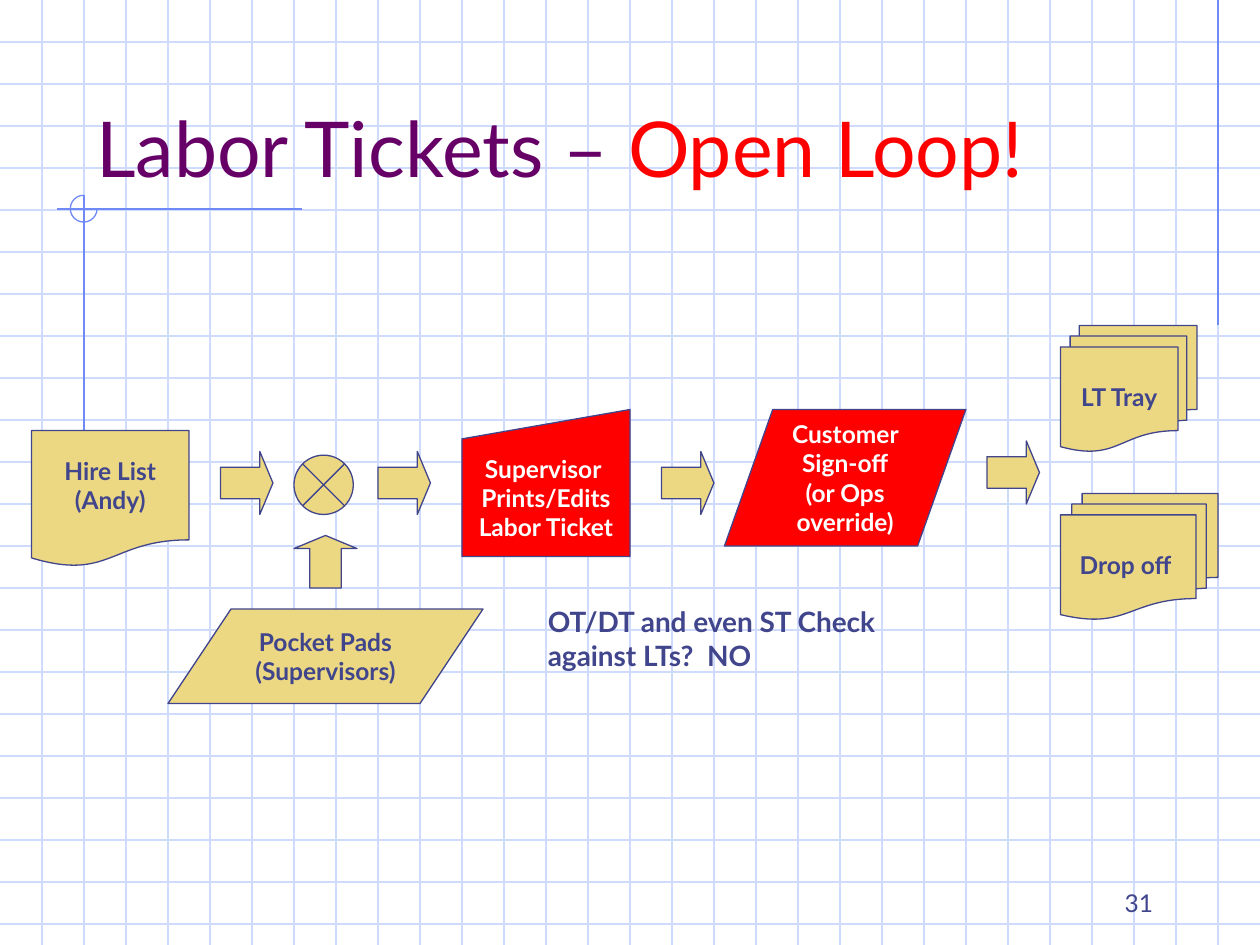
from lxml.etree import SubElement
from pptx import Presentation
from pptx.dml.color import RGBColor
from pptx.enum.shapes import MSO_CONNECTOR as Conn, MSO_SHAPE as Kind
from pptx.enum.text import MSO_ANCHOR as Anchor, PP_ALIGN as Align
from pptx.oxml.ns import qn
from pptx.util import Inches, Pt

GRID = RGBColor(0xCF, 0xDB, 0xFD)
BLUE = RGBColor(0x6F, 0x89, 0xF7)
NAVY = RGBColor(0x40, 0x45, 0x8C)
SAND = RGBColor(0xEC, 0xD8, 0x82)
RED = RGBColor(0xFF, 0, 0)
PLUM = RGBColor(0x66, 0, 0x66)
WHITE = RGBColor(0xFF, 0xFF, 0xFF)
FONT = "Lato"

# Places are in units of a twelfth of an inch: left, top, width, height
UNIT = Inches(1) / 12
WIDE, HIGH, STEP = 120, 90, 4

# kind, place, fill, text colour, wrap, paragraphs
STEPS = [
    (Kind.FLOWCHART_DOCUMENT, (3, 41, 15, 13), SAND, NAVY, False,
     ["Hire List", "(Andy)"]),
    (Kind.FLOWCHART_SUMMING_JUNCTION, (28, 43.35, 5.65, 5.65), SAND, NAVY, False, []),
    (Kind.FLOWCHART_MANUAL_INPUT, (44, 39, 16, 14), RED, WHITE, False,
     ["Supervisor ", "Prints/Edits", "Labor Ticket"]),
    (Kind.FLOWCHART_DATA, (16, 58, 30, 9), SAND, NAVY, True,
     ["Pocket Pads (Supervisors)"]),
    (Kind.FLOWCHART_DATA, (69, 39, 23, 13), RED, WHITE, True,
     ["Customer Sign-off", "(or Ops override)"]),
    (Kind.FLOWCHART_MULTIDOCUMENT, (101, 31, 13, 12), SAND, NAVY, False,
     ["LT Tray"]),
    (Kind.FLOWCHART_MULTIDOCUMENT, (101, 47, 15, 12), SAND, NAVY, False,
     ["Drop off "]),
]
RIGHT = [(21, 43), (36, 43), (63, 43), (94, 42)]
UP = (28, 51)

# place, anchor, alignment, space before, size, bold, runs
TEXTS = [
    ((8, 4, 102, 15), Anchor.BOTTOM, Align.LEFT, 0, 44, False,
     [("Labor Tickets – ", PLUM), ("Open Loop!", RED)]),
    ((51, 57, 41, 7.7), Anchor.TOP, Align.LEFT, 10, 16, True,
     [("OT/DT and even ST Check against LTs?  NO", NAVY)]),
    ((86, 82, 25, 6), Anchor.BOTTOM, Align.RIGHT, 0, 14, False,
     [("31", NAVY)]),
]
RULES = [(116, 0, 116, 31), (28.8, 19.9, 5.4, 19.9), (8, 18.6, 8, 49.1)]
RING = (6.7, 18.6, 2.55, 2.55)

prs = Presentation()
prs.slide_width, prs.slide_height = Inches(10), Inches(7.5)
slide = prs.slides.add_slide(prs.slide_layouts[6])
shapes = slide.shapes


def units(place):
    return [round(v * UNIT) for v in place]


def rule(ends, color):
    line = shapes.add_connector(Conn.STRAIGHT, *units(ends))
    line.line.color.rgb = color
    line.line.width = Pt(0.75)
    SubElement(line._element.spPr, qn("a:effectLst"))


def block(kind, place, fill, edge=NAVY):
    box = shapes.add_shape(kind, *units(place))
    box.shadow.inherit = False
    if fill is None:
        box.fill.background()
    else:
        box.fill.solid()
        box.fill.fore_color.rgb = fill
    box.line.color.rgb = edge
    box.line.width = Pt(0.75)
    return box


def write(para, text, size, color, bold):
    run = para.add_run()
    run.text = text
    run.font.name, run.font.size, run.font.bold = FONT, Pt(size), bold
    run.font.color.rgb = color


# Background grid
for y in range(STEP, HIGH, STEP):
    rule((0, y, WIDE, y), GRID)
for x in range(STEP, WIDE, STEP):
    rule((x, 0, x, HIGH), GRID)

# Accent lines and three-quarter ring
for ends in RULES:
    rule(ends, BLUE)
ring = block(Kind.ARC, RING, None, BLUE)
ring.adjustments[0] = 0
ring.adjustments[1] = 270 * 0.6

# Process steps
for kind, place, fill, color, wrap, paras in STEPS:
    frame = block(kind, place, fill).text_frame
    frame.word_wrap = wrap
    frame.vertical_anchor = Anchor.MIDDLE
    for i, text in enumerate(paras):
        para = frame.add_paragraph() if i else frame.paragraphs[0]
        para.alignment = Align.CENTER
        write(para, text, 14, color, True)

# Block arrows
arrows = [(Kind.RIGHT_ARROW, (*spot, 5, 6)) for spot in RIGHT]
arrows.append((Kind.UP_ARROW, (*UP, 6, 5)))
for kind, place in arrows:
    arrow = block(kind, place, SAND)
    arrow.adjustments[0], arrow.adjustments[1] = 0.5, 0.25

# Title, note and page number
for place, anchor, align, before, size, bold, runs in TEXTS:
    frame = shapes.add_textbox(*units(place)).text_frame
    frame.word_wrap = True
    frame.vertical_anchor = anchor
    para = frame.paragraphs[0]
    para.alignment = align
    para.space_before = Pt(before)
    for text, color in runs:
        write(para, text, size, color, bold)

prs.save("out.pptx")
